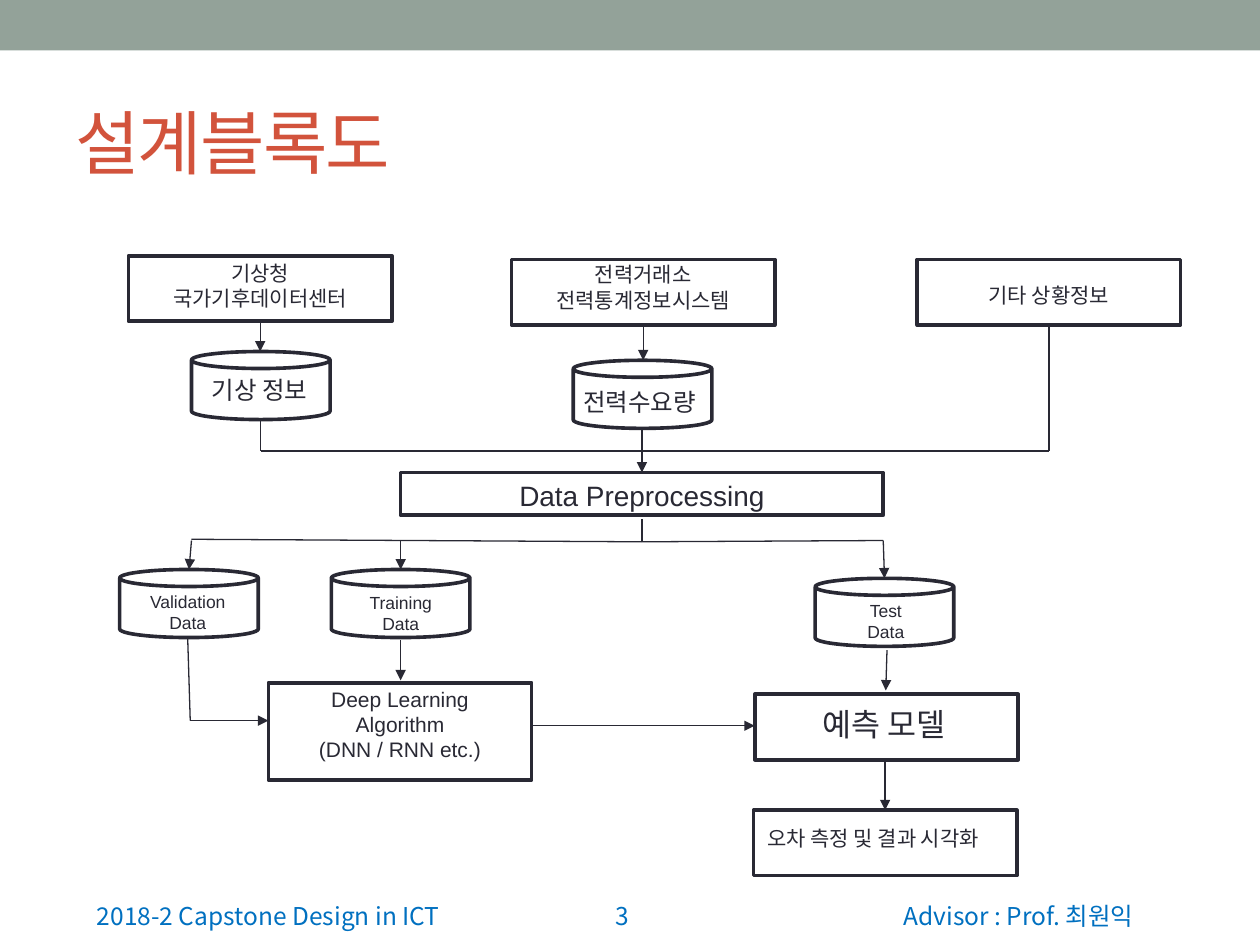
from collections import namedtuple

from pptx import Presentation
from pptx.dml.color import RGBColor
from pptx.enum.shapes import MSO_CONNECTOR, MSO_SHAPE
from pptx.enum.text import MSO_ANCHOR, PP_ALIGN
from pptx.oxml.ns import qn
from pptx.util import Inches, Pt
from lxml.etree import SubElement

SAGE = RGBColor(0x93, 0xA2, 0x99)
RUST = RGBColor(0xD2, 0x53, 0x3C)
INK = RGBColor(0x29, 0x29, 0x34)
BLUE = RGBColor(0x00, 0x70, 0xC0)
BODY_FONT = "Arial"
FOOTER_FONT = "Noto Sans CJK KR"

# The slide is a grid of 100 columns by 75 rows
SLIDE_W, SLIDE_H = Inches(10), Inches(7.5)
COL, ROW = SLIDE_W / 100, SLIDE_H / 75
BLOCK_W, BLOCK_H = 20.9, 5.2
STORE_W, STORE_H = 11, 5.4


class Box(namedtuple("Box", "left top width height")):
    """A rectangle in grid columns and rows."""

    def inner(self, dx, dy, width, height):
        return Box(self.left + dx, self.top + dy, width, height)

    @property
    def mid(self):
        return self.left + self.width / 2

    @property
    def right(self):
        return self.left + self.width

    @property
    def bottom(self):
        return self.top + self.height

    def emu(self):
        return (round(self.left * COL), round(self.top * ROW),
                round(self.width * COL), round(self.height * ROW))


def add_text(slide, box, text, size=12, color=INK, font=BODY_FONT,
             align=PP_ALIGN.CENTER, anchor=MSO_ANCHOR.TOP, spacing=None):
    frame = slide.shapes.add_textbox(*box.emu()).text_frame
    frame.word_wrap = True
    frame.vertical_anchor = anchor
    for i, line in enumerate(text.split("\n")):
        paragraph = frame.paragraphs[0] if i == 0 else frame.add_paragraph()
        paragraph.alignment = align
        run = paragraph.add_run()
        run.text = line
        run.font.size = Pt(size)
        run.font.name = font
        run.font.color.rgb = color
        if spacing is not None:
            run._r.get_or_add_rPr().set("spc", str(spacing * 100))


def add_node(slide, box, text, label=(0, 0), label_width=None, size=12,
             kind=MSO_SHAPE.RECTANGLE, align=PP_ALIGN.CENTER):
    """Draw an outlined node and its label, offset from the node's corner."""
    node = slide.shapes.add_shape(kind, *box.emu())
    node.shadow.inherit = False
    node.fill.background()
    node.line.color.rgb = INK
    node.line.width = Pt(2.08)
    # Label height: margins plus one line of 1.2 times the size per text line
    height = 1 + len(text.split("\n")) * size / 6
    label_box = box.inner(*label, label_width or box.width, height)
    add_text(slide, label_box, text, size=size, align=align)
    return box


def add_store(slide, box, text, **style):
    return add_node(slide, box, text, kind=MSO_SHAPE.CAN, **style)


def connect(slide, *points, arrow=True):
    """Join points with straight segments; the last may carry an arrowhead."""
    for i, (start, end) in enumerate(zip(points, points[1:]), start=2):
        segment = slide.shapes.add_connector(
            MSO_CONNECTOR.STRAIGHT,
            round(start[0] * COL), round(start[1] * ROW),
            round(end[0] * COL), round(end[1] * ROW))
        segment.line.color.rgb = INK
        segment.line.width = Pt(0.75)
        if arrow and i == len(points):
            SubElement(segment.line._get_or_add_ln(), qn("a:tailEnd"), type="triangle")
        SubElement(segment._element.spPr, qn("a:effectLst"))


def draw_header(slide, box):
    band = slide.shapes.add_shape(MSO_SHAPE.RECTANGLE,
                                  *box.inner(0, 0, box.width, 4).emu())
    band.shadow.inherit = False
    band.fill.solid()
    band.fill.fore_color.rgb = SAGE
    band.line.fill.background()
    add_text(slide, box.inner(5, 5.8, 90, 10.8), "설계블록도", size=40, color=RUST,
             align=PP_ALIGN.LEFT, anchor=MSO_ANCHOR.MIDDLE, spacing=-1)


def draw_sources(slide, box):
    """Data providers with their stores; returns the ends that feed onward."""
    agency = add_node(slide, box.inner(0, 0, BLOCK_W, BLOCK_H),
                      "기상청\n국가기후데이터센터", label=(0, -0.1))
    exchange = add_node(slide, box.inner(30.4, 0.3, BLOCK_W, BLOCK_H),
                        "전력거래소\n전력통계정보시스템", label=(0, -0.3))
    other = add_node(slide, box.inner(62.6, 0.3, BLOCK_W, BLOCK_H),
                     "기타 상황정보", label=(0, 1.3))
    weather = add_store(slide, box.inner(5, 7.6, STORE_W, STORE_H), "기상 정보",
                        label=(0.6, 1.4), label_width=11.2, size=14,
                        align=PP_ALIGN.LEFT)
    demand = add_store(slide, box.inner(35.3, 8.3, STORE_W, STORE_H), "전력수요량",
                       label=(-0.2, 1.6), label_width=12.6, size=14,
                       align=PP_ALIGN.LEFT)
    for provider, store in ((agency, weather), (exchange, demand)):
        connect(slide, (provider.mid, provider.bottom), (provider.mid, store.top))
    return weather, demand, other


def draw_preprocessing(slide, box, weather, demand, other):
    add_node(slide, box, "Data Preprocessing", label=(0.8, 0),
             label_width=36.7, size=16)
    bus = box.top - 1.7
    connect(slide, (weather.mid, weather.bottom), (weather.mid, bus),
            (other.mid, bus), (other.mid, other.bottom), arrow=False)
    connect(slide, (box.mid, demand.bottom), (box.mid, box.top))
    return box


def draw_datasets(slide, box, preprocessing):
    stores = [
        add_store(slide, box.inner(dx, dy, STORE_W, STORE_H), f"{name}\nData",
                  label=label, label_width=11.2, size=10)
        for name, dx, dy, label in (("Validation", 0, 0, (-0.2, 1.2)),
                                    ("Training", 16.8, 0, (-0.1, 1.3)),
                                    ("Test", 55.2, 0.7, (0, 1.2)))]
    # Branch line, tilted slightly towards both ends
    mid, fork = preprocessing.mid, preprocessing.bottom + 2.1
    connect(slide, (mid, preprocessing.bottom + 0.3), (mid, fork), arrow=False)
    for end in ((15.2, fork - 0.2), (preprocessing.right, fork - 0.1)):
        connect(slide, (mid, fork), end, arrow=False)
    for start, store in zip((15.2, preprocessing.left, preprocessing.right), stores):
        connect(slide, (start, fork - 0.1), (store.mid, store.top))
    return stores


def draw_models(slide, box, validation, training, test):
    learning = add_node(slide, box.inner(0, 0, BLOCK_W, 7.7),
                        "Deep Learning\nAlgorithm\n(DNN / RNN etc.)",
                        label=(0, -0.2))
    forecast = add_node(slide, box.inner(38.6, 0.9, BLOCK_W, BLOCK_H), "예측 모델",
                        label=(1.7, 0.4), label_width=17.1, size=18)
    result = add_node(slide, box.inner(38.5, 10.1, BLOCK_W, BLOCK_H),
                      "오차 측정 및 결과 시각화", label=(0.1, 0.7),
                      align=PP_ALIGN.LEFT)
    entry = learning.top + 3
    connect(slide, (validation.mid - 0.1, validation.bottom + 0.1),
            (validation.mid + 0.1, entry), (learning.left, entry))
    connect(slide, (training.mid, training.bottom + 0.2),
            (training.mid, learning.top - 0.2))
    connect(slide, (test.mid + 0.2, test.bottom + 0.3),
            (test.mid + 0.1, forecast.top - 0.3))
    connect(slide, (learning.right, entry + 0.4), (forecast.left, entry + 0.4))
    connect(slide, (forecast.mid - 0.1, forecast.bottom + 0.2),
            (result.mid, result.top))


def draw_footer(slide, box):
    for text, dx, width, align in (
            ("2018-2 Capstone Design in ICT", 0, 31.7, PP_ALIGN.LEFT),
            ("3", 34.6, 9.6, PP_ALIGN.RIGHT),
            ("Advisor : Prof. 최원익", 58.3, 31.7, PP_ALIGN.CENTER)):
        add_text(slide, box.inner(dx, 0, width, box.height), text, size=14,
                 color=BLUE, font=FOOTER_FONT, align=align,
                 anchor=MSO_ANCHOR.BOTTOM)


def main():
    deck = Presentation()
    deck.slide_width, deck.slide_height = SLIDE_W, SLIDE_H
    slide = deck.slides.add_slide(deck.slide_layouts[6])
    draw_header(slide, Box(0, 0, 100, 16.6))
    draw_footer(slide, Box(6.7, 69.3, 90, 5))
    sources = draw_sources(slide, Box(10.2, 20.3, 83.5, 13.7))
    preprocessing = draw_preprocessing(slide, Box(31.8, 37.5, 38.3, 3.4), *sources)
    datasets = draw_datasets(slide, Box(9.5, 45.2, 66.2, 6.1), preprocessing)
    draw_models(slide, Box(21.3, 54.2, 59.5, 15.3), *datasets)
    deck.save("out.pptx")


if __name__ == "__main__":
    main()
